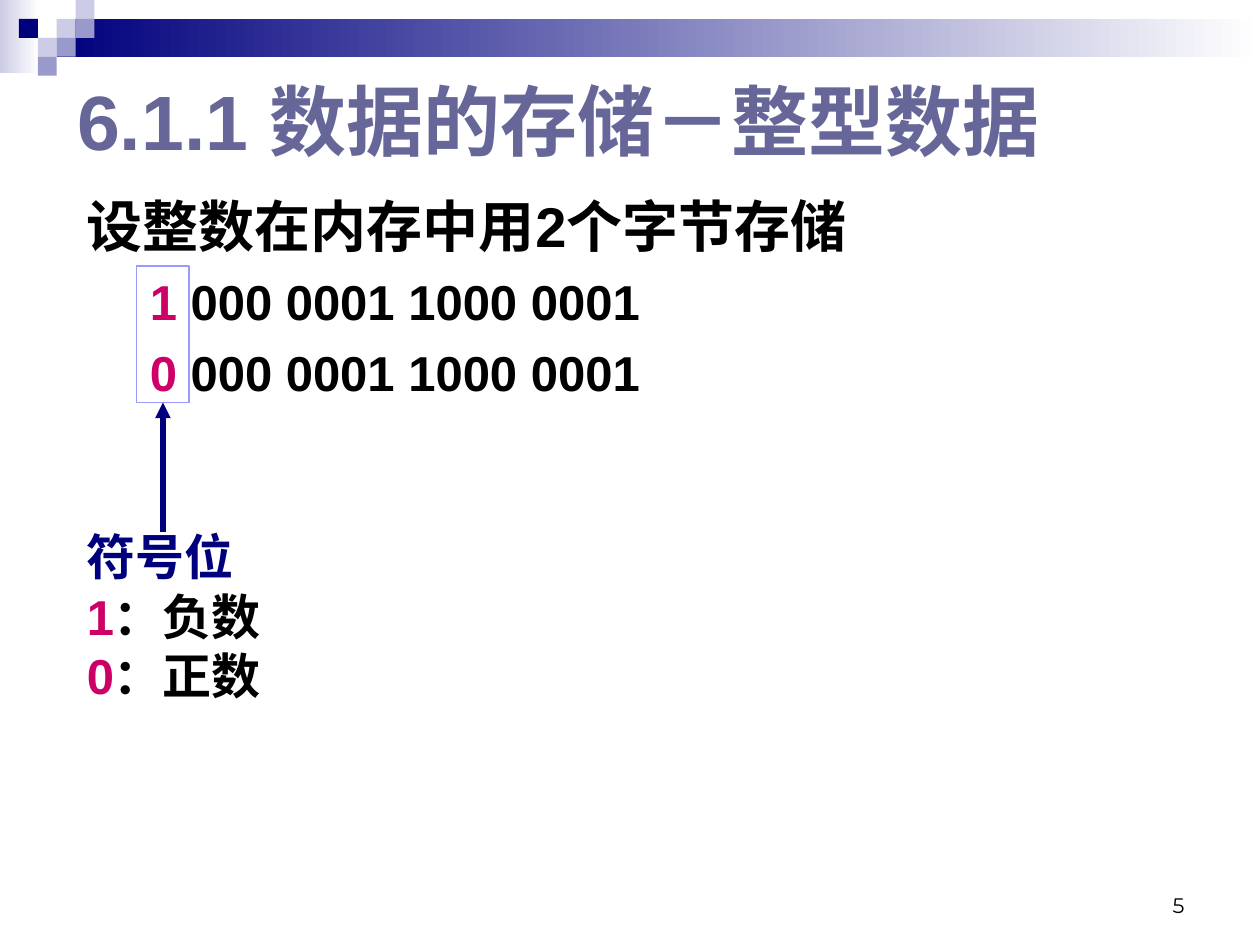
from lxml.etree import SubElement
from pptx import Presentation
from pptx.dml.color import RGBColor
from pptx.enum.shapes import MSO_CONNECTOR, MSO_SHAPE
from pptx.enum.text import MSO_ANCHOR, PP_ALIGN
from pptx.oxml.ns import qn
from pptx.util import Pt

COLORS = {
    "navy": "00007D", "pale": "CCCCE6", "lilac": "9999CC", "white": "FFFFFF",
    "title": "666699", "black": "000000", "sign": "CC0066", "frame": "9999FF",
}
LATIN, CJK = "Arial", "Noto Sans CJK SC"

# Content: each paragraph is a list of (text, color) runs
TITLE = [[("6.1.1 ", "title"), ("数据的存储－整型数据", "title")]]
HEADING = [("设整数在内存中用2个字节存储", "black")]
BITS = " 000 0001 1000 0001"
BIT_ROWS = [[(sign, "sign"), (BITS, "black")] for sign in "10"]
LEGEND = [
    [("符号位", "navy")],
    [("1", "sign"), ("：负数", "black")],
    [("0", "sign"), ("：正数", "black")],
]
PAGE_NUMBER = [[("5", "black")]]

# Corner ornament: gradient bands, then (column, row, color) on a square grid
CELL = 10.8
BANDS = [((0, 0, 22.3, 41.8), "pale"), ((32.4, CELL, 687.6, 21.6), "navy")]
MOSAIC = [
    (3, 1, "pale"), (4, 0, "pale"), (4, 1, "lilac"), (2, 2, "pale"),
    (1, 1, "navy"), (3, 2, "lilac"), (2, 3, "lilac"),
]

presentation = Presentation()
presentation.slide_width, presentation.slide_height = Pt(720), Pt(540)
slide = presentation.slides.add_slide(presentation.slide_layouts[6])


def rgb(name):
    return RGBColor.from_string(COLORS[name])


def add_rect(box):
    rect = slide.shapes.add_shape(MSO_SHAPE.RECTANGLE, *map(Pt, box))
    rect.shadow.inherit = False
    rect.line.fill.background()
    return rect


def add_text(box, paragraphs, size, anchor=MSO_ANCHOR.TOP, align=PP_ALIGN.LEFT,
             bold=True, latin=LATIN, space=0, spacing=None):
    frame = slide.shapes.add_textbox(*map(Pt, box)).text_frame
    frame.word_wrap = True
    frame.vertical_anchor = anchor
    for index, runs in enumerate(paragraphs):
        paragraph = frame.add_paragraph() if index else frame.paragraphs[0]
        paragraph.alignment = align
        paragraph.space_before = Pt(space if index else 0)
        if spacing:
            paragraph.line_spacing = spacing
        for text, color in runs:
            run = paragraph.add_run()
            run.text = text
            run.font.size, run.font.bold = Pt(size), bold
            run.font.color.rgb = rgb(color)
            run.font.name = latin
            SubElement(run.font._element, qn("a:ea"), typeface=CJK)
    return frame


# Corner ornament
for box, color in BANDS:
    band = add_rect(box)
    band.fill.gradient()
    band.fill.gradient_angle = 0
    for stop, stop_color in zip(band.fill.gradient_stops, (color, "white")):
        stop.color.rgb = rgb(stop_color)
for column, row, color in MOSAIC:
    tile = add_rect((column * CELL, row * CELL, CELL, CELL))
    tile.fill.solid()
    tile.fill.fore_color.rgb = rgb(color)

# Page number and title
add_text((516, 492, 168, 36), PAGE_NUMBER, 12, MSO_ANCHOR.BOTTOM,
         PP_ALIGN.RIGHT, bold=False, latin="Montserrat")
add_text((37, 26, 641, 85), TITLE, 44, MSO_ANCHOR.MIDDLE)

# Heading with the two bit patterns indented below it
body = add_text((42.5, 106, 624, 132), [HEADING, *BIT_ROWS], 28,
                align=PP_ALIGN.JUSTIFY, space=7)
body.paragraphs[0].runs[0].font.size = Pt(32)
for bit_row in body.paragraphs[1:]:
    bit_row._p.get_or_add_pPr().set("marL", str(Pt(36)))

# Frame around the sign bits
sign_frame = add_rect((78, 152, 30.2, 78))
sign_frame.fill.background()
sign_frame.line.color.rgb = rgb("frame")
sign_frame.line.width = Pt(1)

# Legend and the arrow from it to the frame
add_text((42.5, 304, 126, 102), LEGEND, 28, space=7, spacing=0.8)
arrow = slide.shapes.add_connector(
    MSO_CONNECTOR.STRAIGHT, Pt(93.1), Pt(230), Pt(93.1), Pt(304))
arrow.begin_connect(sign_frame, 2)
arrow.line.color.rgb = rgb("navy")
arrow.line.width = Pt(3)
SubElement(arrow.line._get_or_add_ln(), qn("a:headEnd"), type="triangle")
SubElement(arrow._element.spPr, qn("a:effectLst"))

presentation.save("out.pptx")
